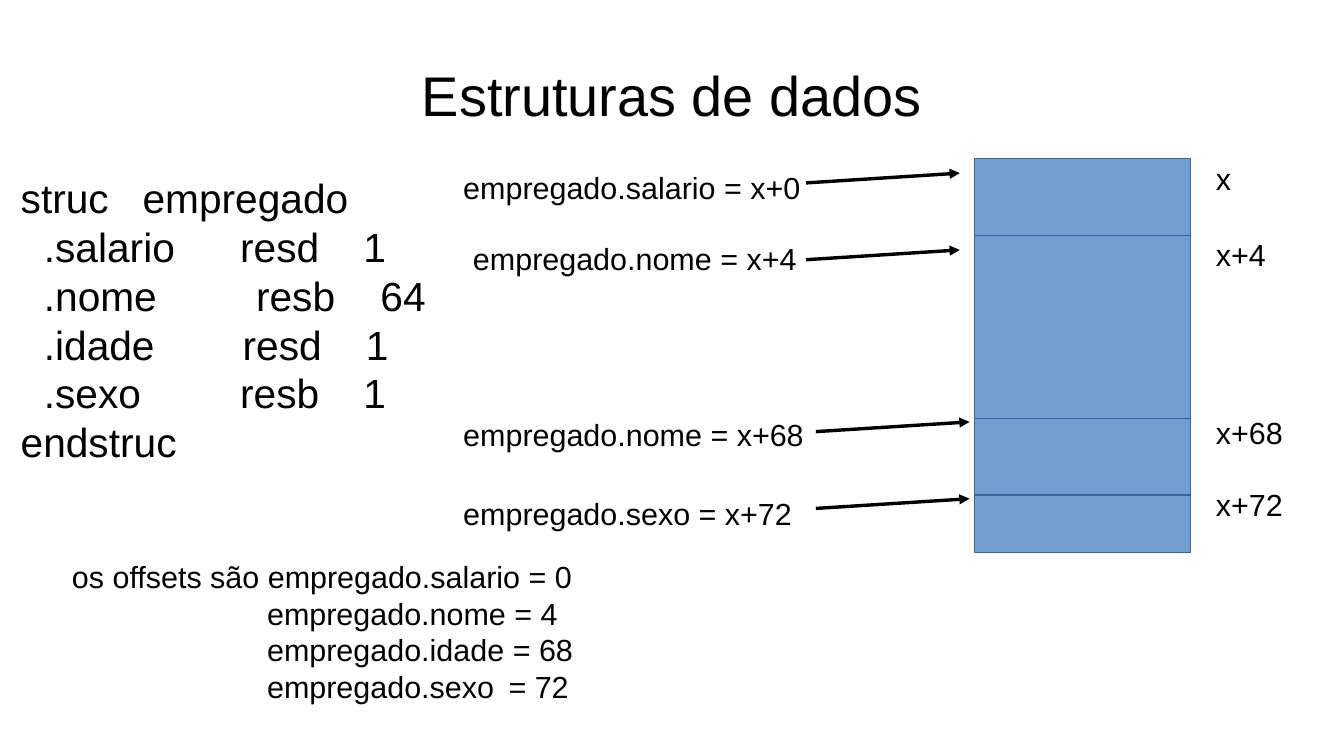
"""Build the slide on data structures: code, field addresses and memory layout."""
from dataclasses import dataclass

from lxml import etree
from pptx import Presentation
from pptx import util as u
from pptx.dml.color import RGBColor
from pptx.enum import shapes, text
from pptx.oxml import ns

BLACK = RGBColor(0x00, 0x00, 0x00)
MEMORY_FILL = RGBColor(0x72, 0x9F, 0xCF)
MEMORY_LINE = RGBColor(0x34, 0x65, 0xA4)
FONT = "Arial"
MEMORY_LEFT, MEMORY_WIDTH = 7.99, 1.77
ARROW_RUN, ARROW_RISE = 1.26, 0.08


@dataclass(frozen=True)
class Line:
    words: str
    stops: tuple[float, ...] = ()


@dataclass(frozen=True)
class Field:
    equation: str
    equation_left: float
    equation_top: float
    address: str
    address_top: float
    top: float
    height: float
    arrow_left: float
    arrow_top: float


CODE = (
    Line("struc\tempregado", (1.0,)),
    Line("\t.salario\tresd\t1", (0.19, 1.8, 2.81)),
    Line("\t.nome\tresb\t64", (0.19, 1.93, 2.95)),
    Line("\t.idade\tresd\t1", (0.19, 1.82, 2.83)),
    Line("\t.sexo\tresb\t1", (0.19, 1.8, 2.81)),
    Line("endstruc"),
)
OFFSETS = (
    Line("os offsets são empregado.salario = 0"),
    Line("\tempregado.nome = 4", (1.6,)),
    Line("\tempregado.idade = 68", (1.6,)),
    Line("\tempregado.sexo\t= 72", (1.6, 3.58)),
)
FIELDS = (
    Field("empregado.salario = x+0", 3.7, 1.34, "x", 1.26, 1.3, 0.63, 6.61, 1.5),
    Field("empregado.nome = x+4", 3.78, 1.92, "x+4", 1.89, 1.93, 1.5, 6.61, 2.13),
    Field("empregado.nome = x+68", 3.7, 3.36, "x+68", 3.35, 3.43, 0.63, 6.69, 3.54),
    Field("empregado.sexo = x+72", 3.7, 4.01, "x+72", 3.94, 4.06, 0.47, 6.69, 4.17),
)


def format_font(paragraph, size: float) -> None:
    """Apply the slide's font to every run."""
    for run in paragraph.runs:
        run.font.name = FONT
        run.font.size = u.Pt(size)
        run.font.color.rgb = BLACK


def add_tab_stops(paragraph, stops: tuple[float, ...]) -> None:
    """Set the tab stops of a paragraph."""
    tab_list = etree.SubElement(paragraph._p.get_or_add_pPr(), ns.qn("a:tabLst"))
    for stop in stops:
        etree.SubElement(tab_list, ns.qn("a:tab"), pos=str(u.Inches(stop)), algn="l")


def add_lines(slide, lines: tuple[Line, ...], left: float, top: float, width: float,
              height: float, size: float = 18, inset_left: float = 0.1,
              inset_top: float = 0.05) -> None:
    """Add a text box holding one paragraph for each line."""
    box = slide.shapes.add_textbox(*map(u.Inches, (left, top, width, height)))
    frame = box.text_frame
    frame.word_wrap = True
    frame.margin_left = u.Inches(inset_left)
    frame.margin_top = u.Inches(inset_top)
    frame.text = "\n".join(line.words for line in lines)
    for paragraph, line in zip(frame.paragraphs, lines):
        format_font(paragraph, size)
        if line.stops:
            add_tab_stops(paragraph, line.stops)


def add_title(slide, words: str) -> None:
    """Fill and place the title."""
    title = slide.shapes.title
    title.left, title.top = u.Inches(0.55), u.Inches(0.25)
    title.width, title.height = u.Inches(9.92), u.Inches(1.04)
    frame = title.text_frame
    frame.text = words
    frame.auto_size = text.MSO_AUTO_SIZE.NONE
    frame.vertical_anchor = text.MSO_ANCHOR.MIDDLE
    frame.margin_left = frame.margin_right = frame.margin_top = frame.margin_bottom = 0
    frame.paragraphs[0].alignment = text.PP_ALIGN.CENTER
    format_font(frame.paragraphs[0], 33)


def add_memory_cell(slide, field: Field) -> None:
    """Draw the memory block of a field."""
    cell = slide.shapes.add_shape(
        shapes.MSO_SHAPE.RECTANGLE,
        *map(u.Inches, (MEMORY_LEFT, field.top, MEMORY_WIDTH, field.height)))
    cell.shadow.inherit = False
    cell.fill.solid()
    cell.fill.fore_color.rgb = MEMORY_FILL
    cell.line.color.rgb = MEMORY_LINE
    cell.line.width = u.Pt(0)


def add_arrow(slide, field: Field) -> None:
    """Draw the arrow from an equation to its memory block."""
    ends = (field.arrow_left, field.arrow_top,
            field.arrow_left + ARROW_RUN, field.arrow_top - ARROW_RISE)
    arrow = slide.shapes.add_connector(shapes.MSO_CONNECTOR.STRAIGHT, *map(u.Inches, ends))
    arrow.line.color.rgb = BLACK
    arrow.line.width = u.Pt(0)
    etree.SubElement(arrow.line._get_or_add_ln(), ns.qn("a:tailEnd"), type="triangle")
    etree.SubElement(arrow._element.spPr, ns.qn("a:effectLst"))


def main() -> None:
    """Build and save the slide."""
    deck = Presentation()
    deck.slide_width, deck.slide_height = u.Inches(11.02), u.Inches(6.2)
    slide = deck.slides.add_slide(deck.slide_layouts[5])
    add_title(slide, "Estruturas de dados")
    add_lines(slide, CODE, 0.08, 1.42, 3.94, 2.6, size=24, inset_left=0.09, inset_top=0)
    add_lines(slide, OFFSETS, 0.42, 4.53, 5.17, 1.46, inset_left=0.17)
    for field in FIELDS:
        add_memory_cell(slide, field)
        add_lines(slide, (Line(field.equation),), field.equation_left,
                  field.equation_top, 3.23, 0.66)
        add_lines(slide, (Line(field.address),), 9.8, field.address_top,
                  0.83, 0.39, inset_left=0.17)
        add_arrow(slide, field)
    deck.save("out.pptx")


if __name__ == "__main__":
    main()
